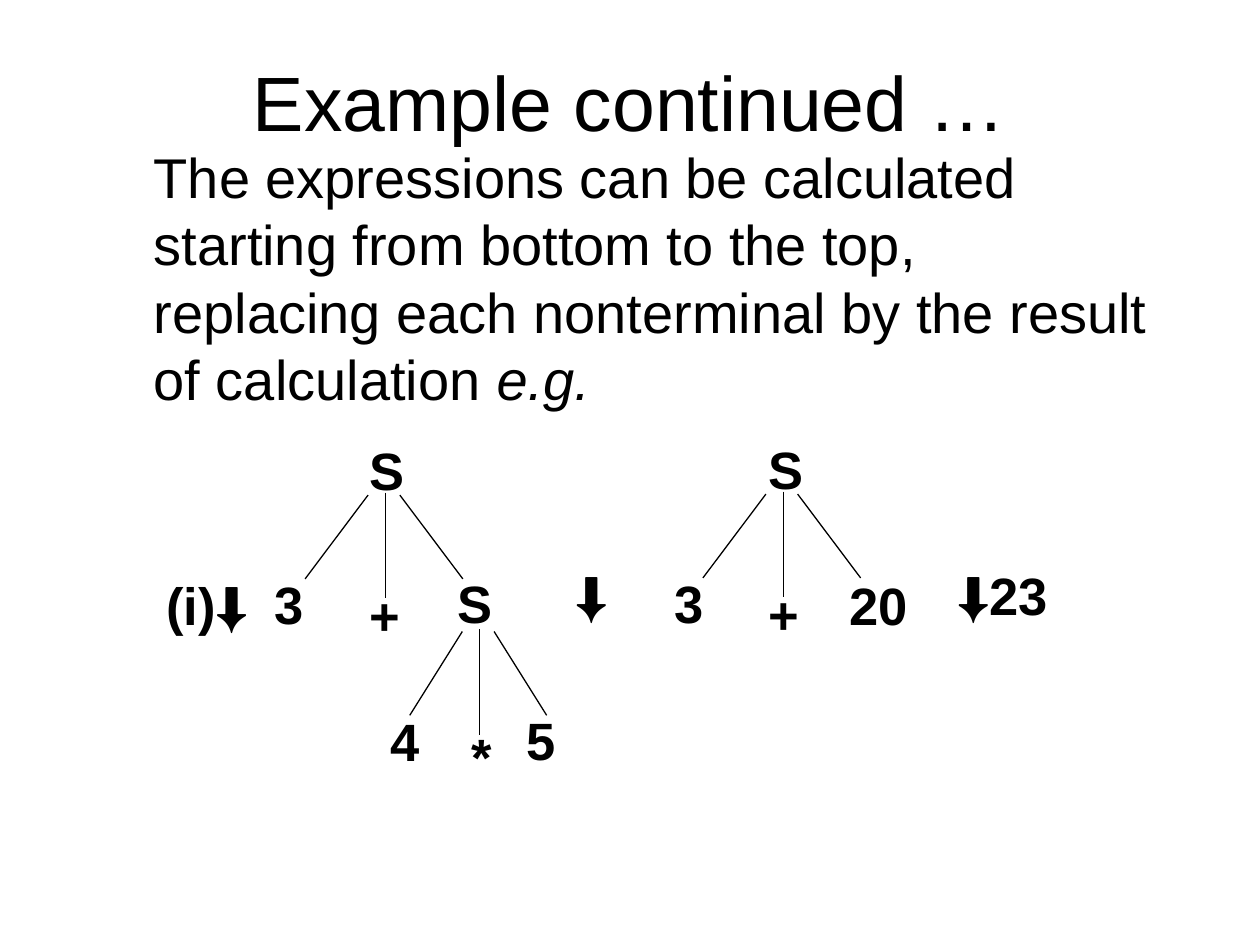
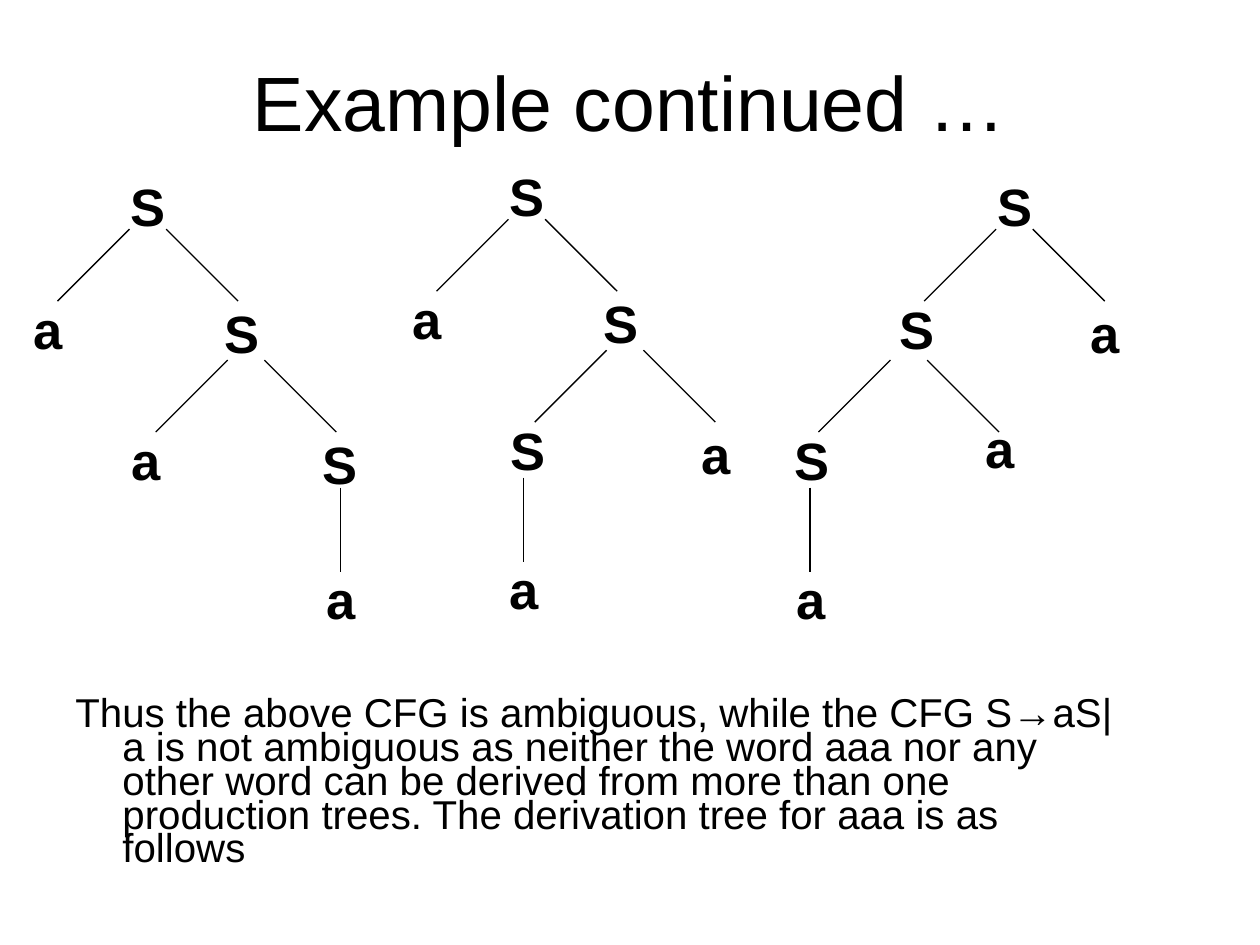
from pptx import Presentation
from pptx.dml.color import RGBColor
from pptx.enum.shapes import MSO_CONNECTOR
from pptx.enum.text import MSO_ANCHOR, MSO_AUTO_SIZE, PP_ALIGN
from pptx.oxml.ns import qn
from pptx.util import Cm, Pt
from lxml.etree import SubElement

BLACK = RGBColor(0, 0, 0)
ARROW = "⬇"


def add_text(s, x, y, w, h, text, size=30, bold=True):
    tf = s.shapes.add_textbox(Cm(x), Cm(y), Cm(w), Cm(h)).text_frame
    tf.word_wrap = True
    p = tf.paragraphs[0]
    p.font.size = Pt(size)
    p.font.bold = bold
    p.font.color.rgb = BLACK
    for part in text.partition(ARROW):
        if part:
            r = p.add_run()
            r.text = part
            r.font.name = "Times New Roman" if part == ARROW else "Arial"
    return p


def add_line(s, x1, y1, x2, y2):
    line = s.shapes.add_connector(MSO_CONNECTOR.STRAIGHT, Cm(x1), Cm(y1), Cm(x2), Cm(y2))
    line.line.color.rgb = BLACK
    line.line.width = Pt(0.75)
    SubElement(line._element.spPr, qn("a:effectLst"))


prs = Presentation()
prs.slide_width, prs.slide_height = Cm(25.4), Cm(19.05)

slides = []
for _ in range(2):
    s = prs.slides.add_slide(prs.slide_layouts[5])
    title = s.shapes.title
    title.left, title.top, title.width, title.height = Cm(1.9), Cm(0.43), Cm(21.6), Cm(3.18)
    tf = title.text_frame
    tf.auto_size = MSO_AUTO_SIZE.NONE
    tf.vertical_anchor = MSO_ANCHOR.MIDDLE
    p = tf.paragraphs[0]
    p.text = "Example continued …"
    p.alignment = PP_ALIGN.CENTER
    p.font.name = "Arial"
    p.font.size = Pt(44)
    p.font.color.rgb = BLACK
    slides.append(s)
calculation, ambiguity = slides

s = calculation
p = add_text(s, 1.9, 2.75, 21.6, 11.43,
             "The expressions can be calculated starting from bottom to the top, "
             "replacing each nonterminal by the result of calculation ", 32, False)
p._p.get_or_add_pPr().set("marL", str(Cm(0.95)))
r = p.add_run()
r.text = "e.g."
r.font.name = "Arial"
r.font.italic = True

for x, y, text in [
    (7.19, 8.71, "S"), (5.28, 11.4, "3"), (7.19, 11.63, "+"), (8.97, 11.38, "S"),
    (7.62, 14.17, "4"), (9.25, 14.48, "*"), (10.36, 14.15, "5"),
    (15.24, 8.69, "S"), (13.34, 11.38, "3"), (15.24, 11.61, "+"), (16.87, 11.43, "20"),
    (3.1, 11.43, "(i)⬇"), (11.35, 11.23, "⬇"), (19.05, 11.23, "⬇23"),
]:
    add_text(s, x, y, 3.38 if ARROW in text else 2.34, 1.52, text)

for x, y, spread in [(7.42, 9.98, 1.27), (9.32, 12.73, 1.06), (15.44, 9.96, 1.27)]:
    add_line(s, x, y, x - spread, y + 1.69)
    add_line(s, x + 0.35, y - 0.05, x + 0.35, y + 2.08)
    add_line(s, x + 0.64, y, x + 0.64 + spread, y + 1.69)

s = ambiguity
FORK_RIGHT, FORK_LEFT = 1.98, -2.13
for x, y, children, fork_x, grandchildren, leaf_x, last_y in [
    (2.39, 3.38, "aS", FORK_RIGHT, "aS", 3.94, 2.57),
    (10.03, 3.18, "aS", FORK_RIGHT, "Sa", 0, 2.57),
    (19.86, 3.38, "Sa", FORK_LEFT, "Sa", -4.06, 2.24),
]:
    add_text(s, x, y, 2.67, 1.52, "S")
    for fx, fy, (left, right), right_y in [
        (x, y, children, 2.57),
        (x + fork_x, y + 2.64, grandchildren, last_y),
    ]:
        add_line(s, fx + 0.22, fy + 1.24, fx - 1.23, fy + 2.69)
        add_line(s, fx + 0.96, fy + 1.24, fx + 2.41, fy + 2.69)
        add_text(s, fx - 1.97, fy + 2.49, 2.67, 1.52, left)
        add_text(s, fx + 1.88, fy + right_y, 3.86, 1.52, right)
    add_line(s, x + leaf_x + 0.53, y + 6.45, x + leaf_x + 0.53, y + 8.15)
    add_text(s, x + leaf_x, y + 7.92, 2.67, 1.52, "a")

p = add_text(s, 1.27, 14, 21.6, 3.78,
             "Thus the above CFG is ambiguous, while the CFG S→aS|a is not ambiguous as "
             "neither the word aaa nor any other word can be derived from more than one "
             "production trees. The derivation tree for aaa is as follows", 23, False)
p.line_spacing = 0.7
pPr = p._p.get_or_add_pPr()
pPr.set("marL", str(Cm(0.95)))
pPr.set("indent", str(Cm(-0.95)))

prs.save("out.pptx")
